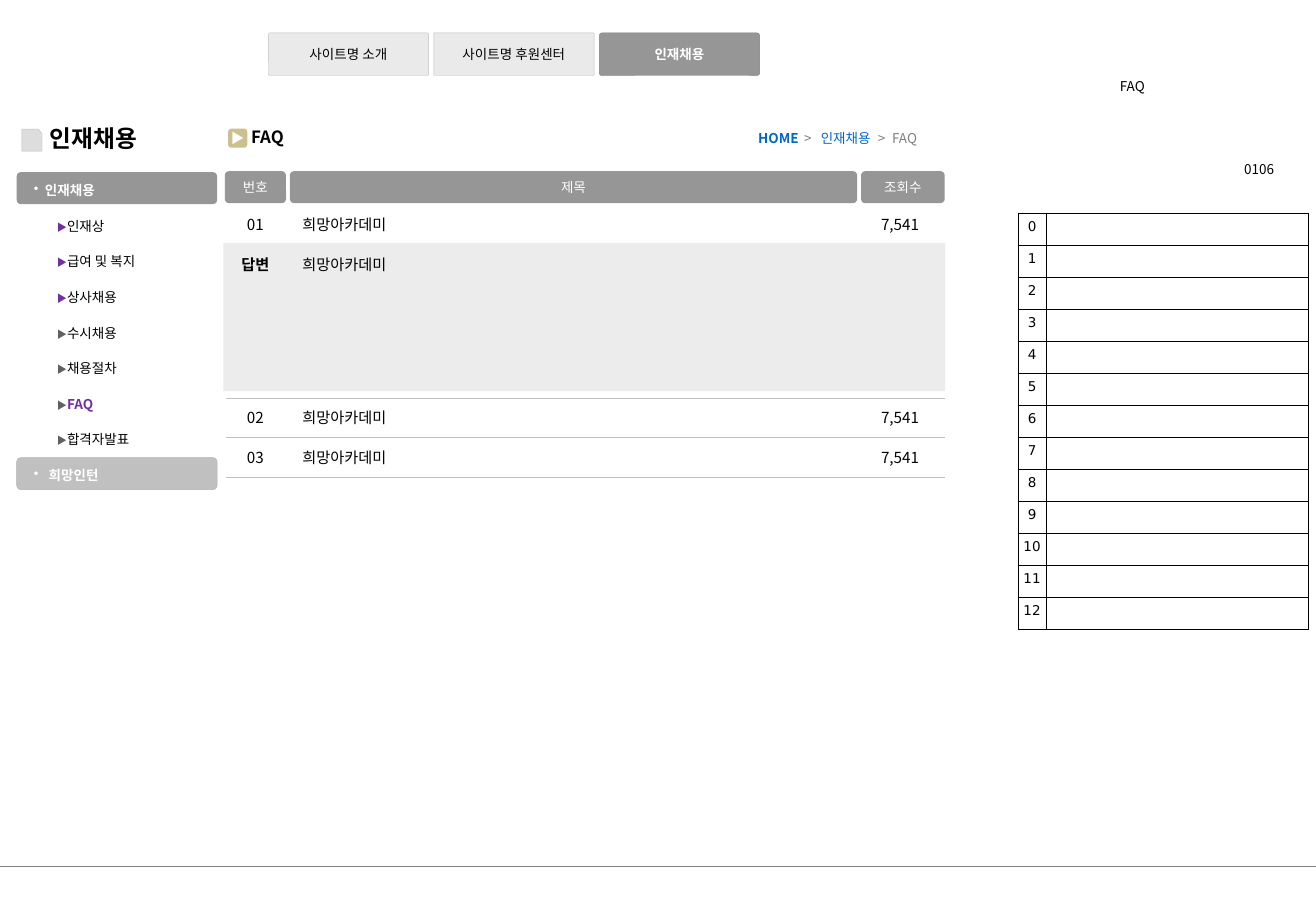
from lxml.etree import SubElement
from pptx import Presentation
from pptx.dml.color import RGBColor
from pptx.enum.shapes import MSO_CONNECTOR, MSO_SHAPE as SHAPE
from pptx.enum.text import MSO_ANCHOR as ANCHOR, PP_ALIGN as ALIGN
from pptx.oxml.ns import qn
from pptx.util import Cm, Pt

BLACK = RGBColor(0x00, 0x00, 0x00)
WHITE = RGBColor(0xFF, 0xFF, 0xFF)
PALE = RGBColor(0xEA, 0xEA, 0xEA)
ANSWER_GRAY = RGBColor(0xEC, 0xEC, 0xEC)
PAPER = RGBColor(0xDD, 0xDD, 0xDD)
SILVER = RGBColor(0xC0, 0xC0, 0xC0)
BAR_EDGE = RGBColor(0xB2, 0xB2, 0xB2)
DARK = RGBColor(0x96, 0x96, 0x96)
GRAY = RGBColor(0x80, 0x80, 0x80)
ARROW_GRAY = RGBColor(0x60, 0x60, 0x60)
PURPLE = RGBColor(0x70, 0x30, 0xA0)
BLUE = RGBColor(0x00, 0x66, 0xCC)
GOLD = RGBColor(0xCC, 0xC0, 0x8E)
SANS, MONO_UI = "Noto Sans CJK KR", "DejaVu Sans"

# Content (lengths in cm)
TABS = [  # label, fill, edge, text colour, bold, corner
    ("사이트명 소개", PALE, SILVER, BLACK, False, 0.04),
    ("사이트명 후원센터", PALE, SILVER, BLACK, False, 0.01),
    ("인재채용", DARK, GRAY, WHITE, True, 0.06),
]
MENU_HEAD, MENU_TAIL = "인재채용", "희망인턴"
MENU = [  # label, arrow colour, text colour
    ("인재상", PURPLE, BLACK),
    ("급여 및 복지", PURPLE, BLACK),
    ("상사채용", PURPLE, BLACK),
    ("수시채용", ARROW_GRAY, BLACK),
    ("채용절차", ARROW_GRAY, BLACK),
    ("FAQ", ARROW_GRAY, PURPLE),
    ("합격자발표", ARROW_GRAY, BLACK),
]
CRUMBS = [("HOME", BLUE), (">", GRAY), ("인재채용", BLUE), (">", GRAY), ("FAQ", GRAY)]
CRUMB_STOPS = [0.96, 1.31, 2.5, 2.8]
HEADERS = [("번호", 1.28), ("제목", 11.86), ("조회수", 1.75)]
ROWS = [  # top, number, title, views
    (4.37, "01", "희망아카데미", "7,541"),
    (5.2, "답변", "희망아카데미", ""),
    (8.41, "02", "희망아카데미", "7,541"),
    (9.25, "03", "희망아카데미", "7,541"),
]
ROW_COLUMNS = [(4.77, 1.14, ALIGN.CENTER), (6.07, 2.51, ALIGN.LEFT), (18.13, 1.37, ALIGN.CENTER)]
LABELS = [  # text, left, top, width, height, size, bold
    ("FAQ", 23.16, 1.52, 1.09, 0.58, 8, False),
    ("인재채용", 0.79, 2.44, 2.4, 0.89, 14, True),
    ("FAQ", 5.0, 2.51, 1.25, 0.69, 10, True),
    ("0106", 25.76, 3.25, 1.17, 0.58, 8, False),
]
NOTE_COUNT = 13

prs = Presentation()
prs.slide_width, prs.slide_height = Cm(27.51), Cm(19.05)
s = prs.slides.add_slide(prs.slide_layouts[6])


def style(r, size, color, bold=False, font=SANS):
    r.font.size, r.font.bold = Pt(size), bold
    r.font.color.rgb = color
    r.font.name = font
    SubElement(r.font._element, qn("a:ea"), typeface=font)


def add_run(p, text, size, color, bold=False):
    r = p.add_run()
    r.text = text
    style(r, size, color, bold)


def shape(kind, x, y, w, h, fill, edge=None, corner=None):
    sp = s.shapes.add_shape(kind, Cm(x), Cm(y), Cm(w), Cm(h))
    sp.shadow.inherit = False
    sp.fill.solid()
    sp.fill.fore_color.rgb = fill
    if edge is None:
        sp.line.fill.background()
    else:
        sp.line.color.rgb = edge
        sp.line.width = Pt(0.25)
    if corner is not None:
        sp.adjustments[0] = corner
    return sp


def caption(sp, text, color, bold=False):
    tf = sp.text_frame
    tf.margin_left = tf.margin_right = tf.margin_top = tf.margin_bottom = 0
    tf.word_wrap = False
    tf.vertical_anchor = ANCHOR.MIDDLE
    p = tf.paragraphs[0]
    p.text = text
    p.alignment = ALIGN.CENTER
    style(p.runs[0], 8, color, bold)


def textbox(x, y, w, h, wrap=False):
    tf = s.shapes.add_textbox(Cm(x), Cm(y), Cm(w), Cm(h)).text_frame
    tf.word_wrap = wrap
    return tf


def label(text, x, y, w, h, size, bold=False, align=ALIGN.LEFT):
    tf = textbox(x, y, w, h)
    tf.vertical_anchor = ANCHOR.MIDDLE
    p = tf.paragraphs[0]
    p.text = text
    p.alignment = align
    style(p.runs[0], size, BLACK, bold)


def rule(x1, x2, y, color, width):
    c = s.shapes.add_connector(MSO_CONNECTOR.STRAIGHT, Cm(x1), Cm(y), Cm(x2), Cm(y))
    c.line.color.rgb = color
    c.line.width = Pt(width)
    SubElement(c._element.spPr, qn("a:effectLst"))


def indent(p, left, hanging=0.0, bullet=None):
    pPr = p._p.get_or_add_pPr()
    pPr.set("marL", str(Cm(left)))
    pPr.set("indent", str(-Cm(hanging)))
    if bullet:
        SubElement(pPr, qn("a:buChar"), char=bullet)
    p.line_spacing = Pt(21.1)


# Footer line and top tabs
rule(0, 27.51, 18.12, GRAY, 0.75)
for i, (text, fill, edge, color, bold, corner) in enumerate(TABS):
    tab = shape(SHAPE.ROUNDED_RECTANGLE, 5.61 + 3.46 * i, 0.69, 3.35, 0.89, fill, edge, corner)
    caption(tab, text, color, bold)

# Answer panel and menu bars
shape(SHAPE.RECTANGLE, 4.67, 5.08, 15.09, 3.1, ANSWER_GRAY)
shape(SHAPE.ROUNDED_RECTANGLE, 0.35, 9.57, 4.19, 0.67, SILVER, BAR_EDGE, 0.13)
shape(SHAPE.ROUNDED_RECTANGLE, 0.35, 3.6, 4.19, 0.67, DARK, None, 0.13)

# Numbered note table
table = s.shapes.add_table(NOTE_COUNT, 2, Cm(21.28), Cm(4.45), Cm(6.07), Cm(0.67 * NOTE_COUNT)).table
table.first_row = table.horz_banding = False
table.columns[0].width, table.columns[1].width = Cm(0.59), Cm(5.48)
for n, row in enumerate(table.rows):
    row.height = Cm(0.67)
    for cell in row.cells:
        cell.margin_left = cell.margin_right = Cm(0.1)
        tcPr = cell._tc.get_or_add_tcPr()
        for side in ("lnL", "lnR", "lnT", "lnB"):
            ln = SubElement(tcPr, qn("a:" + side), w=str(Pt(0.25)))
            SubElement(SubElement(ln, qn("a:solidFill")), qn("a:srgbClr"), val=str(BLACK))
        cell.fill.solid()
        cell.fill.fore_color.rgb = WHITE
    number, blank = row.cells
    p = number.text_frame.paragraphs[0]
    p.text = str(n)
    p.alignment = ALIGN.CENTER
    style(p.runs[0], 8, BLACK, font=MONO_UI)
    SubElement(blank.text_frame.paragraphs[0]._p, qn("a:endParaRPr"), sz="800")

# Headings and their icons
for text, x, y, w, h, size, bold in LABELS:
    label(text, x, y, w, h, size, bold)
page = shape(SHAPE.FLOWCHART_CARD, 0.46, 2.7, 0.42, 0.46, PAPER, SILVER)
page._element.spPr.get_or_add_xfrm().set("flipH", "1")
caption(shape(SHAPE.ROUNDED_RECTANGLE, 4.77, 2.69, 0.4, 0.4, GOLD, None, 0.17), "▶", WHITE)

# Side menu
tf = textbox(0.46, 3.28, 3.68, 6.96, True)
p = tf.paragraphs[0]
indent(p, 0.23, 0.23, "•")
add_run(p, MENU_HEAD, 8, WHITE, True)
for text, arrow, color in MENU:
    p = tf.add_paragraph()
    indent(p, 0.48)
    add_run(p, "▶", 6, arrow)
    add_run(p, text, 8, color, color == PURPLE)
p = tf.add_paragraph()
indent(p, 0.31, 0.31, "•")
add_run(p, MENU_TAIL, 8, WHITE, True)

# Breadcrumb
p = textbox(15.6, 2.59, 4.01, 0.58, True).paragraphs[0]
stops = SubElement(p._p.get_or_add_pPr(), qn("a:tabLst"))
for stop in CRUMB_STOPS:
    SubElement(stops, qn("a:tab"), pos=str(Cm(stop)), algn="l")
for i, (text, color) in enumerate(CRUMBS):
    add_run(p, "\t" + text if i else text, 8, color, i == 0)

# FAQ list
x = 4.7
for text, width in HEADERS:
    caption(shape(SHAPE.ROUNDED_RECTANGLE, x, 3.58, width, 0.67, DARK, None, 0.13), text, WHITE)
    x += width + 0.08
for top, *values in ROWS:
    for text, (x, w, align) in zip(values, ROW_COLUMNS):
        if text:
            label(text, x, top, w, 0.64, 9, text == "답변", align)
for i in range(3):
    rule(4.72, 19.76, 8.33 + 0.82 * i, SILVER, 0.25)

prs.save("out.pptx")
